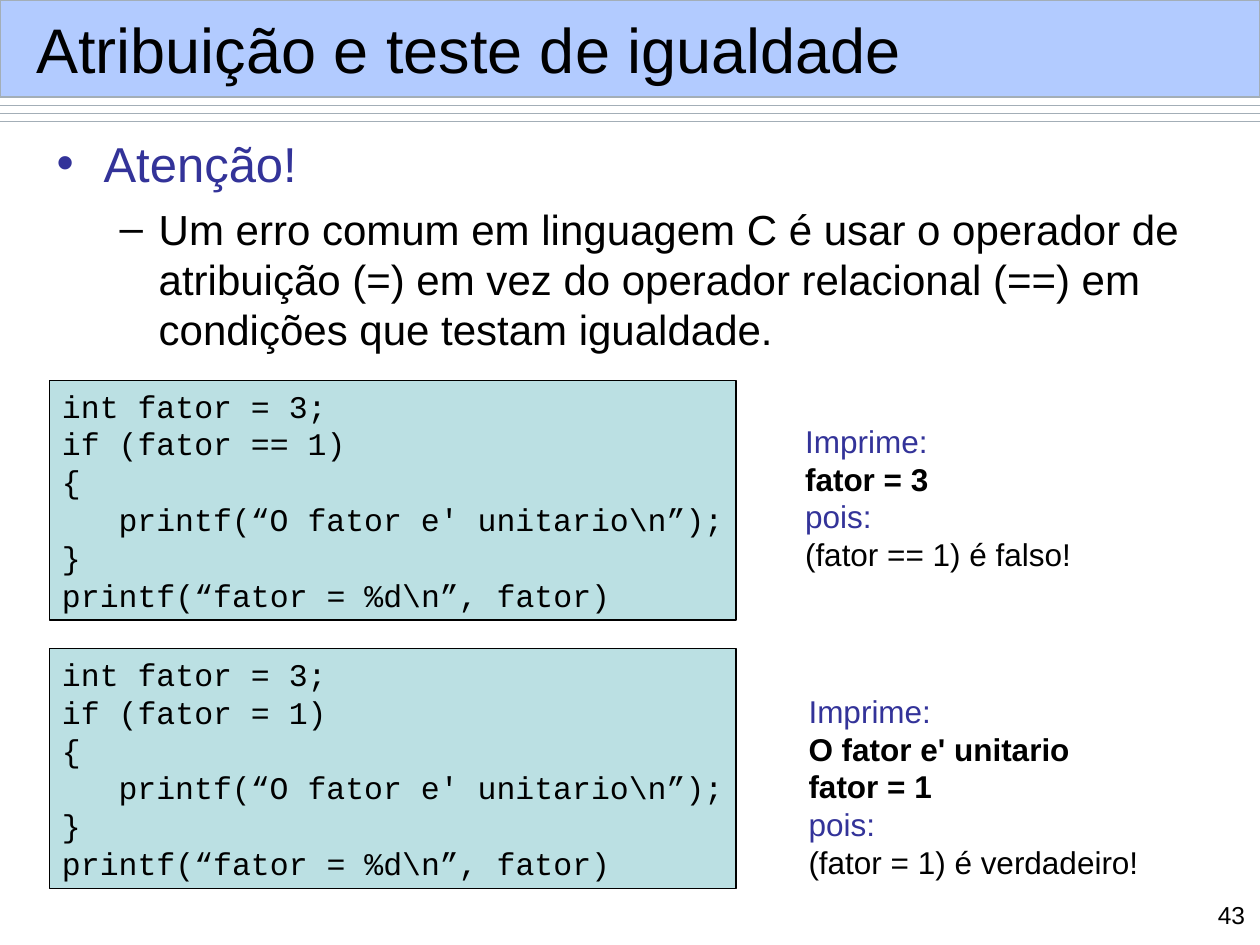
from dataclasses import dataclass

from lxml import etree
from pptx import Presentation
from pptx import util as u
from pptx.dml.color import RGBColor
from pptx.enum import shapes, text
from pptx.oxml import ns


@dataclass(frozen=True)
class Theme:
    """Colours, fonts and type sizes of the slide."""
    ink: str = "000000"
    accent: str = "333399"
    rule: str = "A3AEB7"
    band: str = "6699FF"
    panel: str = "BBE0E3"
    sans: str = "Arial"
    mono: str = "Courier New"
    title: int = 36
    topic: int = 28
    detail: int = 24
    body: int = 18
    number: int = 14
    hairline: float = 0.75


THEME = Theme()


def add_child(parent, tag, **attributes):
    """Append a drawing element to an XML parent."""
    return etree.SubElement(parent, ns.qn(tag), attributes)


def write(frame, content, size=THEME.body, color=THEME.ink, font=THEME.sans, bold=False,
          align=text.PP_ALIGN.LEFT, before=0, margin=0, hanging=0, bullet=None):
    """Add one formatted paragraph to a text frame."""
    first = frame.paragraphs[0]
    paragraph = frame.add_paragraph() if first.runs else first
    paragraph.alignment = align
    paragraph.space_before = u.Pt(before)
    properties = paragraph._p.get_or_add_pPr()
    properties.set("marL", str(u.Cm(margin)))
    properties.set("indent", str(-u.Cm(hanging)))
    if bullet:
        tint = add_child(properties, "a:buClr")
        add_child(tint, "a:srgbClr", val=color)
        add_child(properties, "a:buFont", typeface=THEME.sans)
        add_child(properties, "a:buChar", char=bullet)
    run = paragraph.add_run()
    run.text = content
    run.font.size = u.Pt(size)
    run.font.name = font
    run.font.bold = bold
    run.font.color.rgb = RGBColor.from_string(color)


def text_area(slide, left, top, width, height, anchor=text.MSO_ANCHOR.TOP):
    """Add a wrapping text box and return its frame."""
    frame = slide.shapes.add_textbox(*map(u.Cm, (left, top, width, height))).text_frame
    frame.word_wrap = True
    frame.vertical_anchor = anchor
    return frame


def panel(slide, left, top, width, height, fill, outline):
    """Add a flat outlined rectangle."""
    box = slide.shapes.add_shape(
        shapes.MSO_SHAPE.RECTANGLE, *map(u.Cm, (left, top, width, height)))
    box.shadow.inherit = False
    box.fill.solid()
    box.fill.fore_color.rgb = RGBColor.from_string(fill)
    box.line.color.rgb = RGBColor.from_string(outline)
    box.line.width = u.Pt(THEME.hairline)
    return box


def header(slide, title):
    """Draw the rules, the translucent band and the title."""
    for row in range(3):
        height = u.Cm(2.13 + 0.16 * row)
        rule = slide.shapes.add_connector(
            shapes.MSO_CONNECTOR.STRAIGHT, 0, height, u.Cm(25.4), height)
        rule.line.color.rgb = RGBColor.from_string(THEME.rule)
        rule.line.width = u.Pt(THEME.hairline)
        add_child(rule._element.spPr, "a:effectLst")
    band = panel(slide, 0, 0, 25.4, 1.96, THEME.band, THEME.rule)
    tint = band._element.spPr.find(ns.qn("a:solidFill"))[0]
    add_child(tint, "a:alpha", val="50000")
    write(text_area(slide, 0.48, 0.23, 24.49, 1.5, text.MSO_ANCHOR.MIDDLE),
          title, size=THEME.title)


def code_panel(slide, top, condition):
    """Show the C program with the given condition."""
    frame = panel(slide, 1, top, 13.84, 4.83, THEME.panel, THEME.ink).text_frame
    frame.word_wrap = False
    frame.vertical_anchor = text.MSO_ANCHOR.TOP
    program = (("int fator = 3;", 0), (f"if ({condition})", 0), ("{", 0),
               ("printf(“O fator e' unitario\\n”);", 1.14), ("}", 0),
               ("printf(“fator = %d\\n”, fator)", 0))
    for line, margin in program:
        write(frame, line, font=THEME.mono, margin=margin)


def outcome(slide, left, top, width, height, printed, reason):
    """State what the program prints and why."""
    frame = text_area(slide, left, top, width, height)
    write(frame, "Imprime:", color=THEME.accent)
    for line in printed:
        write(frame, line, bold=True)
    write(frame, "pois:", color=THEME.accent)
    write(frame, reason)


def main():
    """Build and save the slide."""
    deck = Presentation()
    deck.slide_width, deck.slide_height = u.Cm(25.4), u.Cm(19.05)
    slide = deck.slides.add_slide(deck.slide_layouts[6])

    header(slide, "Atribuição e teste de igualdade")
    warning = text_area(slide, 0.89, 2.57, 23.93, 4.9)
    write(warning, "Atenção!", size=THEME.topic, color=THEME.accent,
          before=7, margin=0.95, hanging=0.95, bullet="•")
    write(warning, "Um erro comum em linguagem C é usar o operador de atribuição (=) "
          "em vez do operador relacional (==) em condições que testam igualdade.",
          size=THEME.detail, before=6, margin=2.06, hanging=0.79, bullet="–")

    code_panel(slide, 7.67, "fator == 1")
    code_panel(slide, 13.08, "fator = 1")
    outcome(slide, 15.98, 8.38, 5.87, 3.3, ["fator = 3"], "(fator == 1) é falso!")
    outcome(slide, 16.05, 13.82, 7.75, 4.06,
            ["O fator e' unitario", "fator = 1"], "(fator = 1) é verdadeiro!")
    write(text_area(slide, 23.04, 18.01, 2.31, 0.66), "43",
          size=THEME.number, align=text.PP_ALIGN.RIGHT)
    deck.save("out.pptx")


if __name__ == "__main__":
    main()
